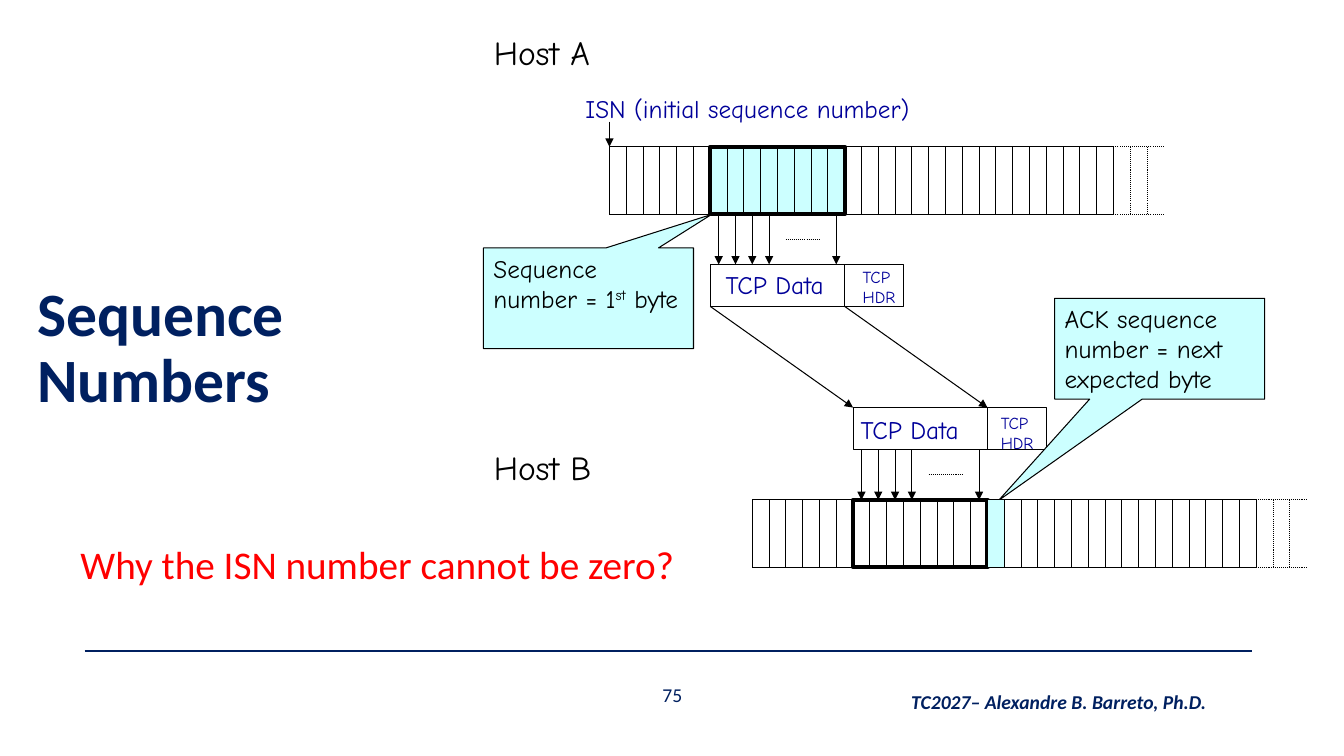
from dataclasses import dataclass

from lxml import etree
from pptx import Presentation
from pptx.dml.color import RGBColor
from pptx.enum.dml import MSO_LINE
from pptx.enum.shapes import MSO_CONNECTOR, MSO_SHAPE
from pptx.enum.text import MSO_ANCHOR, MSO_AUTO_SIZE, PP_ALIGN
from pptx.oxml.ns import qn
from pptx.util import Inches, Pt

STRAIGHT = MSO_CONNECTOR.STRAIGHT
RECT, CALLOUT = MSO_SHAPE.RECTANGLE, MSO_SHAPE.RECTANGULAR_CALLOUT
DOTTED = MSO_LINE.ROUND_DOT
TOP, MIDDLE = MSO_ANCHOR.TOP, MSO_ANCHOR.MIDDLE
LEFT, CENTER = PP_ALIGN.LEFT, PP_ALIGN.CENTER

# The slide is a grid of 80 columns by 45 rows; one column holds one byte.
COLS, ROWS = 80, 45
STREAM_ROWS, STREAM_BYTES, DOTTED_BYTES = 4, 30, 3
SEGMENT_START, SEGMENT_BYTES = 6, 8
PACKET_ROWS, HEADER_COLS = 2.5, 3.5
DROP_ROWS = 3


@dataclass(frozen=True)
class Theme:
    navy: str = "002060"
    blue: str = "000099"
    red: str = "FF0000"
    black: str = "000000"
    white: str = "FFFFFF"
    cyan: str = "CCFFFF"
    body: str = "Calibri"
    hand: str = "Comic Neue"
    title: int = 44
    question: int = 28
    host: int = 24
    label: int = 18
    footer: int = 14
    small: int = 12
    thin: float = 0.75
    rule: float = 1.5
    thick: float = 3


THEME = Theme()


def grid(units):
    return Inches(units / 6)


def box(x, y, cols, rows):
    return [grid(v) for v in (x, y, cols, rows)]


def write(tf, lines, size, color, font=THEME.hand, bold=False, italic=False,
          align=LEFT, spacing=None):
    """Fill a text frame; each line is a list of (text, is_superscript)."""
    for i, line in enumerate(lines):
        p = tf.add_paragraph() if i else tf.paragraphs[0]
        p.alignment = align
        if spacing:
            p.line_spacing = spacing
        p.font.size, p.font.name = Pt(size), font
        p.font.bold, p.font.italic = bold, italic
        p.font.color.rgb = RGBColor.from_string(color)
        for text, superscript in line:
            r = p.add_run()
            r.text = text
            if superscript:
                r._r.get_or_add_rPr().set("baseline", "30000")


def add_text(s, at, text, size, color, wrap=False, anchor=TOP, **style):
    tf = s.shapes.add_textbox(*box(*at)).text_frame
    tf.word_wrap = wrap
    tf.auto_size = MSO_AUTO_SIZE.NONE if wrap else MSO_AUTO_SIZE.SHAPE_TO_FIT_TEXT
    tf.vertical_anchor = anchor
    write(tf, [[(line, False)] for line in text.split("\n")], size, color, **style)


def add_box(s, at, fill=None, width=THEME.thin, kind=RECT):
    sp = s.shapes.add_shape(kind, *box(*at))
    sp.shadow.inherit = False
    if fill:
        sp.fill.solid()
        sp.fill.fore_color.rgb = RGBColor.from_string(fill)
    else:
        sp.fill.background()
    sp.line.color.rgb = RGBColor.from_string(THEME.black)
    sp.line.width = Pt(width)
    return sp


def add_line(s, x1, y1, x2, y2, dotted=False, arrow=False, color=THEME.black,
             width=THEME.thin):
    line = s.shapes.add_connector(STRAIGHT, *box(x1, y1, x2, y2))
    line.line.color.rgb = RGBColor.from_string(color)
    line.line.width = Pt(width)
    if dotted:
        line.line.dash_style = DOTTED
    if arrow:
        etree.SubElement(line.line._get_or_add_ln(), qn("a:tailEnd"), type="triangle")
    etree.SubElement(line._element.spPr, qn("a:effectLst"))


def add_stream(s, x, y):
    """Draw a row of byte cells that fades out in dotted lines."""
    bottom, end = y + STREAM_ROWS, x + STREAM_BYTES
    for edge in (y, bottom):
        add_line(s, x, edge, end, edge)
        add_line(s, end + DOTTED_BYTES, edge, end, edge, dotted=True)
    for i in range(STREAM_BYTES + DOTTED_BYTES):
        add_line(s, x + i, y, x + i, bottom, dotted=i > STREAM_BYTES)


def add_segment(s, stream_x, y, fill=None):
    at = (stream_x + SEGMENT_START, y, SEGMENT_BYTES, STREAM_ROWS)
    add_box(s, at, fill, THEME.thick)


def add_packet(s, x, y, data_shift, header_shift):
    """Draw a packet; shifts place its two labels from the left of each part."""
    header_x = x + SEGMENT_BYTES
    add_box(s, (x, y, SEGMENT_BYTES, PACKET_ROWS), THEME.white)
    add_box(s, (header_x, y, HEADER_COLS, PACKET_ROWS), THEME.white)
    for text, left, (dx, dy), cols, rows, size in (
            ("TCP Data", x, data_shift, 7.68, 2.4, THEME.label),
            ("TCP\nHDR", header_x, header_shift, 3.3, 3, THEME.small)):
        add_text(s, (left + dx, y + dy, cols, rows), text, size, THEME.blue)


def add_byte_drop(s, x, y):
    """Draw arrows from the first four bytes and the last, with dots between."""
    for byte in (0, 1, 2, 3, SEGMENT_BYTES - 1):
        add_line(s, x + byte + 0.5, y, x + byte + 0.5, y + DROP_ROWS, arrow=True)
    middle = y + DROP_ROWS / 2
    add_line(s, x + 4.5, middle, x + 6.5, middle, dotted=True)


def add_callout(s, x, y, pointer, runs):
    sp = add_box(s, (x, y, 12.5, 6), THEME.cyan, kind=CALLOUT)
    sp.adjustments[0], sp.adjustments[1] = pointer
    tf = sp.text_frame
    tf.word_wrap = True
    tf.vertical_anchor = TOP
    write(tf, [runs], THEME.label, THEME.black)


def add_frame(s):
    add_line(s, 5.04, 38.76, 74.52, 38.76, color=THEME.navy, width=THEME.rule)
    add_text(s, (34.86, 40.74, 10.32, 1.2), "75", THEME.footer, THEME.navy,
             wrap=True, anchor=MIDDLE, font=THEME.body, align=CENTER)
    add_text(s, (52.02, 40.8, 22.02, 2.04), "TC2027– Alexandre B. Barreto, Ph.D.",
             THEME.footer, THEME.navy, wrap=True, font=THEME.body, bold=True,
             italic=True, align=CENTER)
    add_text(s, (1.62, 16.44, 21.42, 8.7), "Sequence Numbers", THEME.title,
             THEME.navy, wrap=True, anchor=MIDDLE, font=THEME.body, bold=True,
             spacing=0.9)
    add_text(s, (4.2, 31.86, 36.96, 3.42), "Why the ISN number cannot be zero?",
             THEME.question, THEME.red, font=THEME.body)


def add_diagram(s):
    ax, ay = 36.28, 8.74
    bx, by = 44.78, 29.76
    send_x, receive_x = ax + SEGMENT_START, bx + SEGMENT_START
    send_y = ay + STREAM_ROWS + DROP_ROWS
    receive_y = by - DROP_ROWS - PACKET_ROWS

    add_segment(s, ax, ay, THEME.cyan)
    add_stream(s, ax, ay)
    add_stream(s, bx, by)
    for host, y in (("Host A", 1.62), ("Host B", 26.28)):
        add_text(s, (28.8, y, 7.65, 3), host, THEME.host, THEME.black)

    add_packet(s, send_x, send_y, (0.32, 0), (0.48, -0.15))
    add_packet(s, receive_x, receive_y, (-0.14, 0.12), (0.2, 0))
    for dx in (0, SEGMENT_BYTES):
        add_line(s, send_x + dx, send_y + PACKET_ROWS, receive_x + dx, receive_y,
                 arrow=True)
    add_byte_drop(s, send_x, ay + STREAM_ROWS)
    add_byte_drop(s, receive_x, by - DROP_ROWS)

    add_text(s, (34.26, 5.28, 22.08, 2.4), "ISN (initial sequence number)",
             THEME.label, THEME.blue)
    add_line(s, ax, ay - 1.5, ax, ay, arrow=True)
    add_callout(s, 28.78, 14.76, (0.586, -0.832),
                [("Sequence number = 1", False), ("st", True), (" byte", False)])
    add_segment(s, bx, by)
    add_callout(s, 62.78, 17.76, (-0.767, 1.505),
                [("ACK sequence number = next expected byte", False)])
    add_box(s, (receive_x + SEGMENT_BYTES, by, 1, STREAM_ROWS), THEME.cyan)


def main():
    prs = Presentation()
    prs.slide_width, prs.slide_height = grid(COLS), grid(ROWS)
    s = prs.slides.add_slide(prs.slide_layouts[6])
    add_frame(s)
    add_diagram(s)
    prs.save("out.pptx")


if __name__ == "__main__":
    main()
